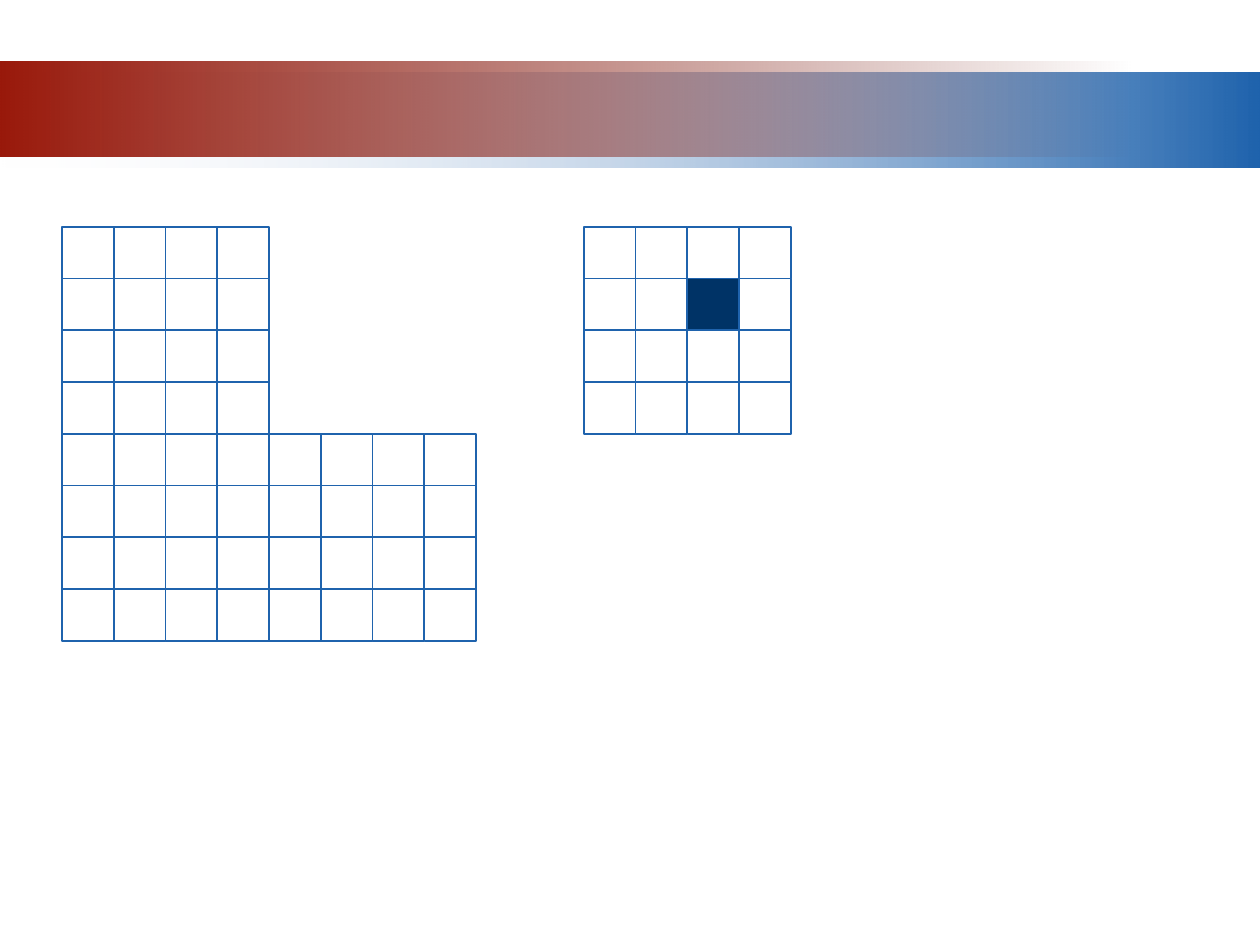
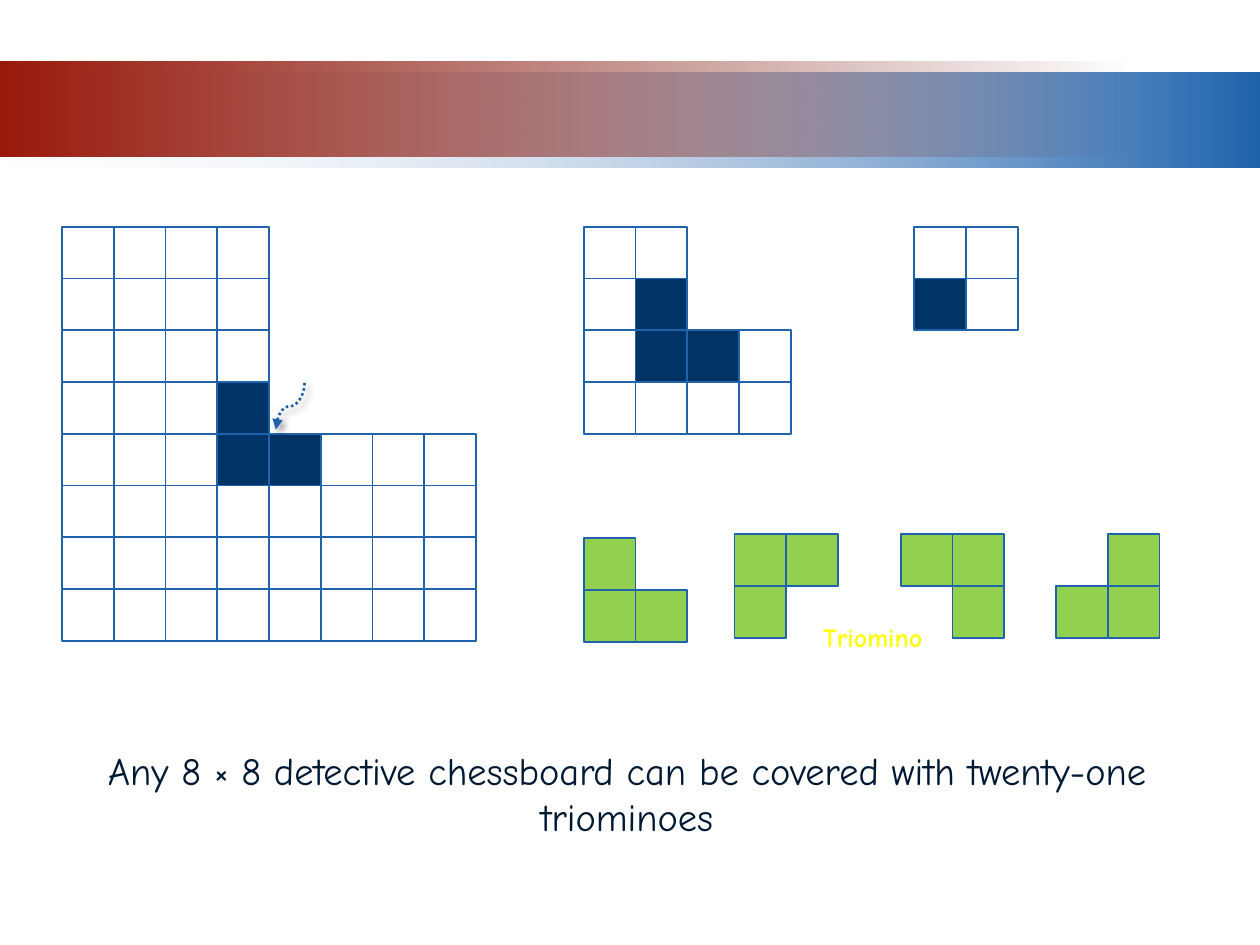
from lxml.etree import SubElement
from pptx import Presentation
from pptx.dml.color import RGBColor
from pptx.enum.dml import MSO_LINE
from pptx.enum.shapes import MSO_CONNECTOR as Link, MSO_SHAPE as Preset
from pptx.enum.text import MSO_ANCHOR, PP_ALIGN
from pptx.oxml.ns import qn
from pptx.util import Cm, Pt

COLORS = {
    "blue": "1F63AD", "pale": "F1F2F7", "red": "99190B", "maroon": "6D1208",
    "navy": "003366", "green": "92D050", "yellow": "FFFF00", "ink": "001933",
    "black": "000000",
}
FONT = "Comic Neue"
CELL = 8.35 / 8
BOARD_TOP, LARGE_LEFT, SMALL_LEFT, TINY_LEFT = 4.57, 1.25, 11.77, 18.43
CELL_FILLS = {"#": "navy", "o": "green"}

PLAIN_L = ["...."] * 4 + ["........"] * 4
COVERED_L = ["...."] * 3 + ["...#", "...##..."] + ["........"] * 3
MARKED_SQUARE = ["....", "..#.", "....", "...."]
COVERED_SMALL_L = ["..", ".#", ".##.", "...."]
MARKED_TINY = ["..", "#."]
TRIOMINOES = [
    (SMALL_LEFT, 10.85, ["o ", "oo"]),
    (14.81, 10.77, ["oo", "o "]),
    (18.16, 10.77, ["oo", " o"]),
    (21.29, 10.77, [" o", "oo"]),
]


def rgb(name):
    """Return the named colour."""
    return RGBColor.from_string(COLORS[name])


def add_rect(slide, left, top, width, height):
    """Add a rectangle without shadow."""
    rect = slide.shapes.add_shape(
        Preset.RECTANGLE, Cm(left), Cm(top), Cm(width), Cm(height))
    rect.shadow.inherit = False
    return rect


def add_band(slide, top, width, start, end, clear_stop):
    """Add a horizontal gradient band that fades out at one stop."""
    band = add_rect(slide, 0, top, width, 1.91)
    band.line.fill.background()
    band.fill.gradient()
    band.fill.gradient_angle = 0
    for stop, name in zip(band.fill.gradient_stops, (start, end)):
        stop.color.rgb = rgb(name)
    stop_colors = list(band.element.spPr.iter(qn("a:srgbClr")))
    SubElement(stop_colors[clear_stop], qn("a:alpha"), val="0")


def add_grid(slide, left, top, rows):
    """Draw a board or tile from rows of cell symbols, blanks left open."""
    for row, symbols in enumerate(rows):
        for column, symbol in enumerate(symbols):
            if symbol == " ":
                continue
            cell = add_rect(slide, left + column * CELL, top + row * CELL,
                            CELL, CELL)
            cell.line.color.rgb = rgb("blue")
            cell.line.width = Pt(1)
            if symbol in CELL_FILLS:
                cell.fill.solid()
                cell.fill.fore_color.rgb = rgb(CELL_FILLS[symbol])
            else:
                cell.fill.background()


def add_caption(slide, left, top, width, height, text, size, color, bold=False):
    """Add centred text in a wrapping box."""
    frame = slide.shapes.add_textbox(
        Cm(left), Cm(top), Cm(width), Cm(height)).text_frame
    frame.word_wrap = True
    frame.vertical_anchor = MSO_ANCHOR.MIDDLE
    paragraph = frame.paragraphs[0]
    paragraph.text = text
    paragraph.alignment = PP_ALIGN.CENTER
    font = paragraph.font
    font.name, font.size, font.bold = FONT, Pt(size), bold
    font.color.rgb = rgb(color)


def add_pointer(slide, left, top, width, height):
    """Add a dotted curved arrow, turned a quarter, with a soft shadow."""
    pointer = slide.shapes.add_connector(
        Link.CURVE, Cm(left), Cm(top), Cm(left + width), Cm(top + height))
    pointer.line.color.rgb = rgb("blue")
    pointer.line.width = Pt(1.5)
    pointer.line.dash_style = MSO_LINE.ROUND_DOT
    properties = pointer.element.spPr
    properties.find(qn("a:xfrm")).set("rot", str(90 * 60000))
    SubElement(properties.find(qn("a:ln")), qn("a:tailEnd"), type="triangle")
    effects = SubElement(properties, qn("a:effectLst"))
    shadow = SubElement(effects, qn("a:outerShdw"), blurRad=str(Pt(4)),
                        dist=str(Pt(3)), dir=str(45 * 60000), rotWithShape="0")
    shade = SubElement(shadow, qn("a:srgbClr"), val=COLORS["black"])
    SubElement(shade, qn("a:alpha"), val="40000")


def add_board_slide(deck, large_board, small_board):
    """Add a slide with the header bands and its two main boards."""
    slide = deck.slides.add_slide(deck.slide_layouts[6])
    add_band(slide, 1.47, 25.4, "pale", "blue", 0)
    add_band(slide, 1.25, 22.86, "red", "maroon", 1)
    add_grid(slide, SMALL_LEFT, BOARD_TOP, small_board)
    add_grid(slide, LARGE_LEFT, BOARD_TOP, large_board)
    return slide


def main():
    """Build the two chessboard slides."""
    deck = Presentation()
    deck.slide_width, deck.slide_height = Cm(25.4), Cm(19.05)
    add_board_slide(deck, PLAIN_L, MARKED_SQUARE)

    covering = add_board_slide(deck, COVERED_L, COVERED_SMALL_L)
    add_grid(covering, TINY_LEFT, BOARD_TOP, MARKED_TINY)
    for left, top, tile in TRIOMINOES:
        add_grid(covering, left, top, tile)
    add_caption(covering, 15.32, 12.29, 4.55, 1.12, "Triomino", 15, "yellow",
                bold=True)
    add_caption(
        covering, 1.91, 15.44, 21.46, 1.09,
        "Any 8 × 8 detective chessboard can be covered with twenty-one triominoes",
        22, "ink")
    add_pointer(covering, 5.38, 7.9, 0.94, 0.58)
    deck.save("out.pptx")


if __name__ == "__main__":
    main()
